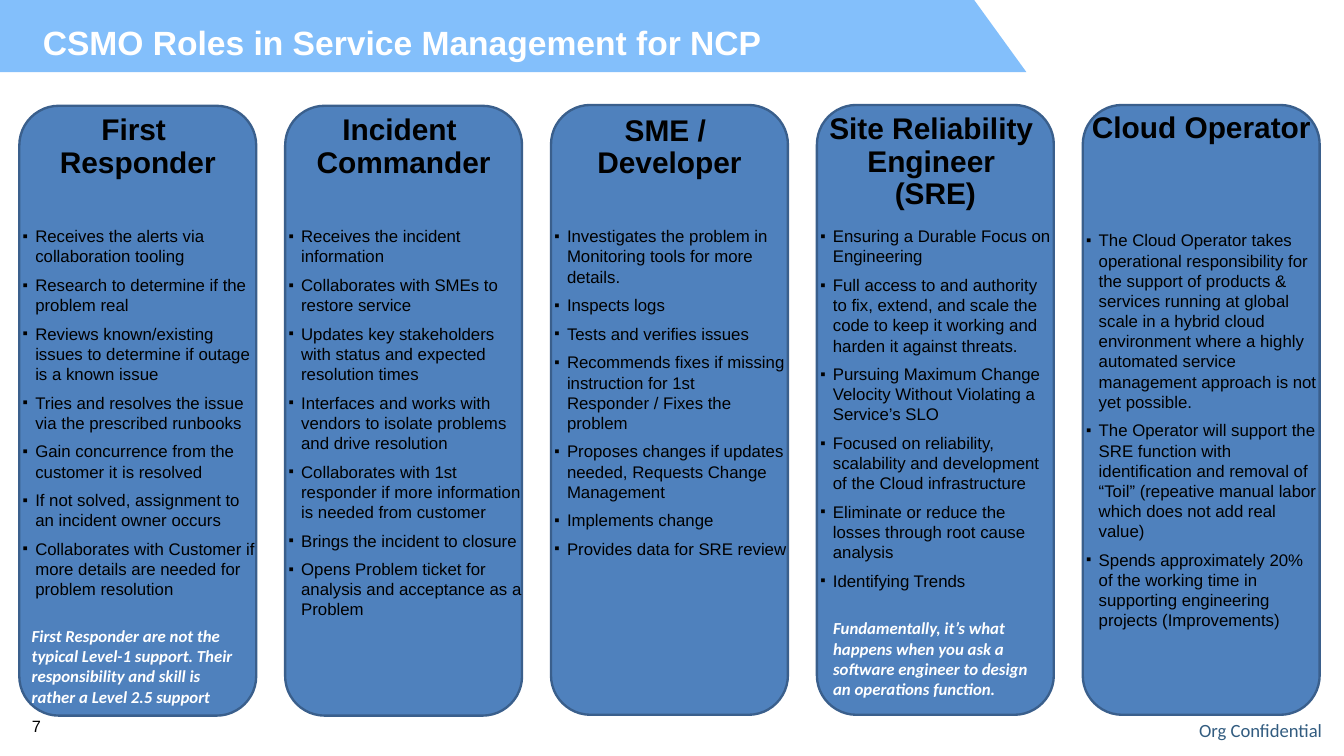
from dataclasses import dataclass

from lxml.etree import SubElement
from pptx import Presentation
from pptx.dml.color import RGBColor
from pptx.enum.shapes import MSO_SHAPE
from pptx.enum.text import MSO_ANCHOR, MSO_AUTO_SIZE, PP_ALIGN
from pptx.oxml.ns import qn
from pptx.util import Inches, Pt


@dataclass(frozen=True)
class Theme:
    banner: str = "5AAAFA"
    card: str = "4F81BD"
    card_line: str = "3A5F8C"
    footer: str = "325C80"
    dark: str = "000000"
    light: str = "FFFFFF"
    title_size: float = 28.8
    heading_size: float = 25.6
    body_size: float = 14.4
    number_size: float = 14
    footer_size: float = 16
    sans: str = "Arial"
    note_font: str = "Calibri"


theme = Theme()


def place(box, left, top, width, height):
    box.left, box.top = Inches(left), Inches(top)
    box.width, box.height = Inches(width), Inches(height)
    box.element.getparent().append(box.element)


def write(box, *texts, size, color=theme.dark, font=theme.sans, bold=False, italic=False,
          align=PP_ALIGN.LEFT, anchor=MSO_ANCHOR.TOP, spacing=1.0, inset=(0, 0), bullets=False):
    frame = box.text_frame
    frame.word_wrap = True
    frame.auto_size = MSO_AUTO_SIZE.NONE
    frame.vertical_anchor = anchor
    frame.margin_left = frame.margin_right = Inches(inset[0])
    frame.margin_top = frame.margin_bottom = Inches(inset[1])
    for index, text in enumerate(texts):
        para = frame.add_paragraph() if index else frame.paragraphs[0]
        para.text = text
        para.alignment = align
        para.line_spacing = spacing
        para.space_before = Pt(size / 2 if index else 0)
        para.space_after = Pt(0)
        if bullets:
            properties = para._p.get_or_add_pPr()
            properties.set("marL", str(Inches(0.19)))
            properties.set("indent", str(Inches(-0.15)))
            bullet_color = SubElement(properties, qn("a:buClr"))
            SubElement(bullet_color, qn("a:srgbClr"), val=color)
            SubElement(properties, qn("a:buSzPct"), val="90000")
            SubElement(properties, qn("a:buFont"), typeface=font)
            SubElement(properties, qn("a:buChar"), char="▪")
        for span in para.runs:
            span.font.name = font
            span.font.size = Pt(size)
            span.font.bold = bold
            span.font.italic = italic
            span.font.color.rgb = RGBColor.from_string(color)


roles = [
    ("First \vResponder", 1.26, 1.37, 2.69, [
        "Receives the alerts via collaboration tooling",
        "Research to determine if the problem real",
        "Reviews known/existing issues to determine if outage is a known issue",
        "Tries and resolves the issue via the prescribed runbooks",
        "Gain concurrence from the customer it is resolved",
        "If not solved, assignment to an incident owner occurs",
        "Collaborates with Customer if more details are needed for problem resolution"]),
    ("Incident \vCommander", 1.26, 1.37, 2.69, [
        "Receives the incident information",
        "Collaborates with SMEs to restore service",
        "Updates key stakeholders with status and expected resolution times",
        "Interfaces and works with vendors to isolate problems and drive resolution",
        "Collaborates with 1st responder if more information is needed from customer",
        "Brings the incident to closure",
        "Opens Problem ticket for analysis and acceptance as a Problem"]),
    ("SME / \vDeveloper", 1.25, 1.38, 2.69, [
        "Investigates the problem in Monitoring tools for more details.",
        "Inspects logs",
        "Tests and verifies issues",
        "Recommends fixes if missing instruction for 1st Responder / Fixes the problem",
        "Proposes changes if updates needed, Requests Change Management",
        "Implements change",
        "Provides data for SRE review"]),
    ("Site Reliability \vEngineer \v(SRE)", 1.25, 1.36, 2.69, [
        "Ensuring a Durable Focus on Engineering",
        "Full access to and authority to fix, extend, and scale the code to keep it working "
        "and harden it against threats.",
        "Pursuing Maximum Change Velocity Without Violating a Service’s SLO",
        "Focused on reliability, scalability and development of the Cloud infrastructure",
        "Eliminate or reduce the losses through root cause analysis",
        "Identifying Trends"]),
    ("Cloud Operator", 1.25, 1.34, 2.74, [
        "The Cloud Operator takes operational responsibility for the support of products & "
        "services running at global scale in a hybrid cloud environment where a highly "
        "automated service management approach is not yet possible.",
        "The Operator will support the SRE function with identification and removal of "
        "“Toil” (repeative manual labor which does not add real value)",
        "Spends approximately 20% of the working time in supporting engineering projects "
        "(Improvements)"]),
]
notes = [
    (0.28, 7.4, "First Responder are not the typical Level-1 support. Their responsibility "
                "and skill is rather a Level 2.5 support"),
    (9.82, 7.31, "Fundamentally, it’s what happens when you ask a software engineer to "
                 "design an operations function."),
]

deck = Presentation()
deck.slide_width, deck.slide_height = Inches(16), Inches(9)
page = deck.slides.add_slide(deck.slide_layouts.get_by_name("Comparison"))
title, *lists = list(page.placeholders)[:5]
lists.append(page.shapes.add_textbox(0, 0, 0, 0))

outline = page.shapes.build_freeform(0, Inches(-0.01))
outline.add_line_segments([(Inches(x), Inches(y)) for x, y in
                           [(11.59, -0.01), (12.22, 0.86), (0, 0.86)]])
banner = outline.convert_to_shape()
banner.shadow.inherit = False
banner.fill.solid()
banner.fill.fore_color.rgb = RGBColor.from_string(theme.banner)
banner_color = banner.element.spPr.find(qn("a:solidFill")).find(qn("a:srgbClr"))
SubElement(banner_color, qn("a:alpha"), val="75000")
banner.line.fill.background()

place(title, 0.41, 0.3, 13.8, 0.75)
write(title, "CSMO Roles in Service Management for NCP", size=theme.title_size,
      color=theme.light, bold=True, spacing=0.8, inset=(0.1, 0.05))

card_width = 2.82
pitch = (12.89 - 0.23) / (len(roles) - 1)
for index, (role, card_top, heading_top, list_top, duties) in enumerate(roles):
    left = 0.23 + index * pitch
    card = page.shapes.add_shape(MSO_SHAPE.ROUNDED_RECTANGLE, Inches(left), Inches(card_top),
                                 Inches(card_width), Inches(7.26))
    card.shadow.inherit = False
    card.fill.solid()
    card.fill.fore_color.rgb = RGBColor.from_string(theme.card)
    card.line.color.rgb = RGBColor.from_string(theme.card_line)
    card.line.width = Pt(2)

    heading = page.shapes.add_textbox(0, 0, 0, 0)
    place(heading, left, heading_top, card_width, 0.39 * (role.count("\v") + 1))
    write(heading, role, size=theme.heading_size, bold=True, align=PP_ALIGN.CENTER, spacing=0.9)

    place(lists[index], left, list_top, card_width, 4.8)
    write(lists[index], *duties, size=theme.body_size, bullets=True)

for left, top, text in notes:
    note = page.shapes.add_textbox(0, 0, 0, 0)
    place(note, left, top, 2.73, 1.07)
    write(note, text, size=theme.body_size, color=theme.light, font=theme.note_font,
          bold=True, italic=True, inset=(0.1, 0.05))

number = page.shapes.add_textbox(0, 0, 0, 0)
place(number, 0.2, 8.46, 0.47, 0.37)
write(number, "7", size=theme.number_size, align=PP_ALIGN.CENTER, anchor=MSO_ANCHOR.MIDDLE)

footer = page.shapes.add_textbox(0, 0, 0, 0)
place(footer, 11.34, 8.56, 4.4, 0.27)
write(footer, "Org Confidential", size=theme.footer_size, color=theme.footer,
      font=theme.note_font, align=PP_ALIGN.RIGHT)

deck.save("out.pptx")
